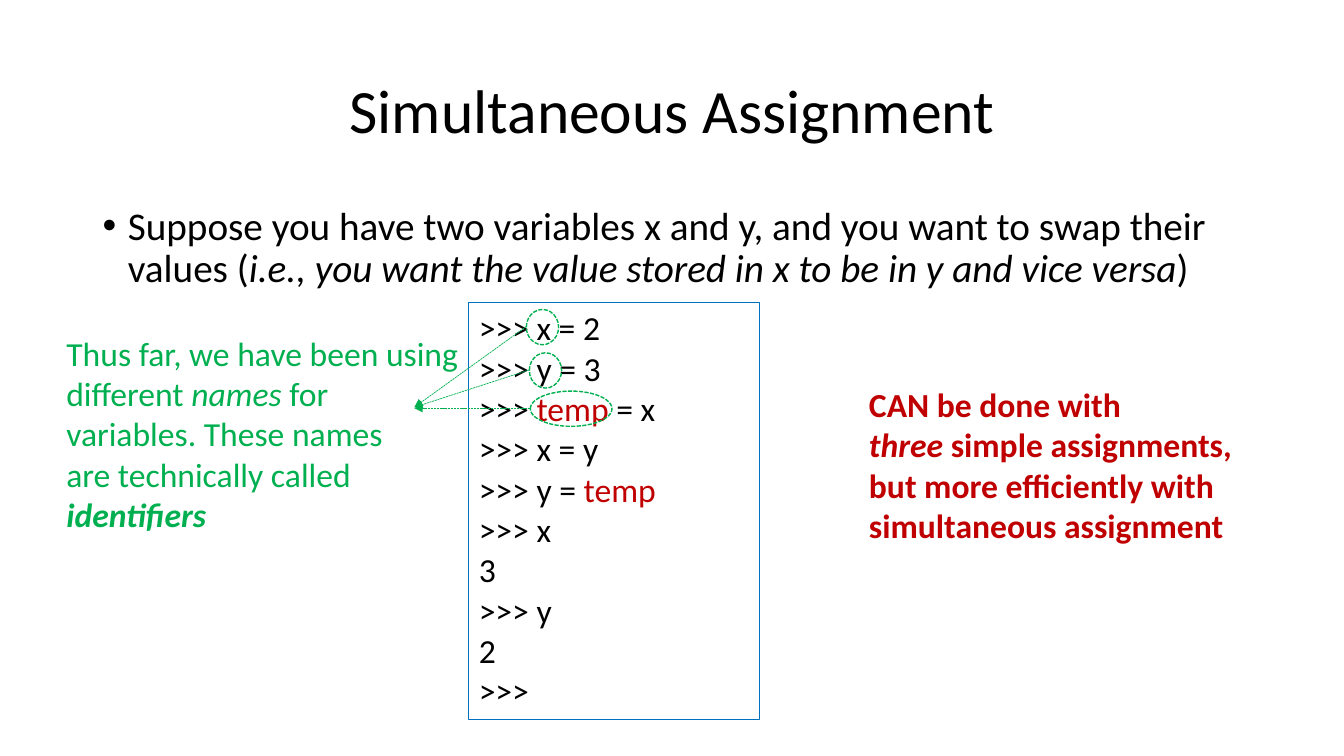
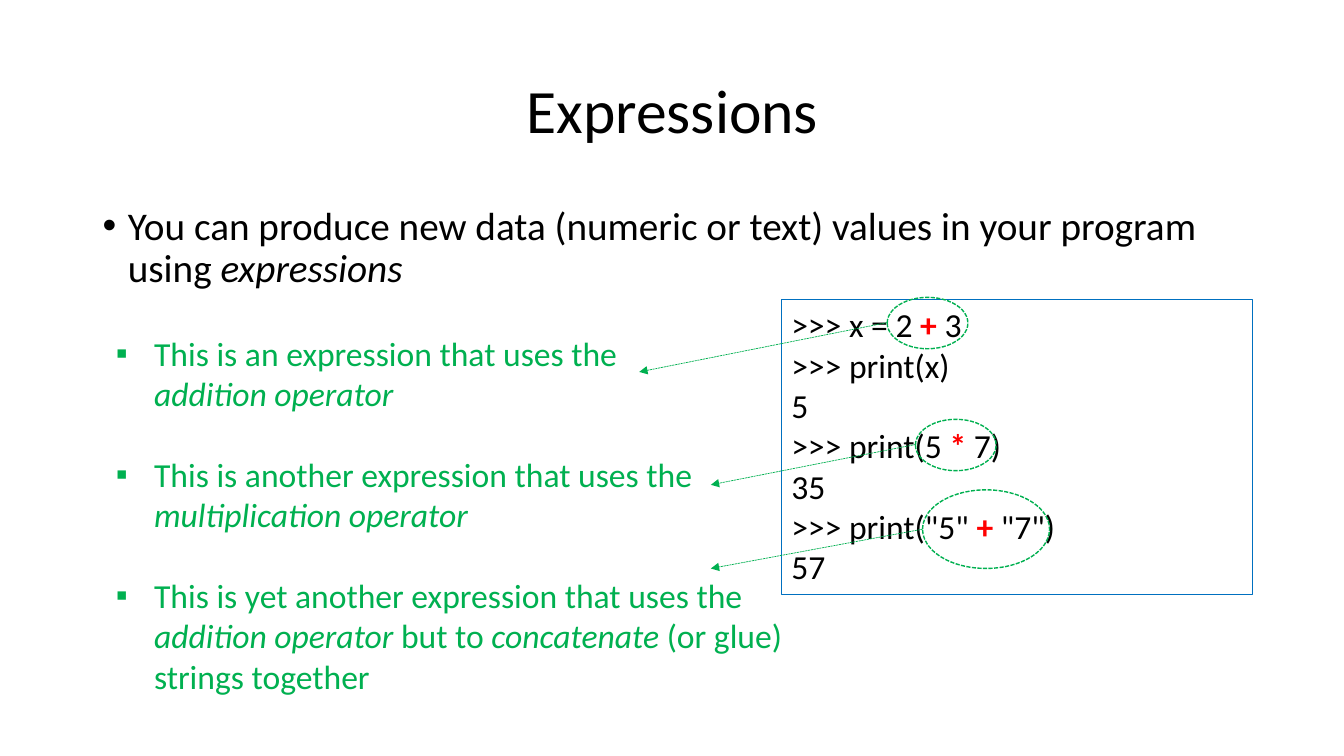
from lxml import etree
from pptx import Presentation
from pptx.dml.color import RGBColor
from pptx.enum.dml import MSO_LINE
from pptx.enum.shapes import MSO_CONNECTOR, MSO_SHAPE
from pptx.enum.text import MSO_ANCHOR, PP_ALIGN
from pptx.oxml.ns import qn
from pptx.util import Pt

PX = 9144  # 100 px to the inch
FONT = "Calibri"
BLACK = RGBColor(0x00, 0x00, 0x00)
BLUE = RGBColor(0x00, 0x70, 0xC0)
GREEN = RGBColor(0x00, 0xB0, 0x50)
CRIMSON = RGBColor(0xC0, 0x00, 0x00)
RED = RGBColor(0xFF, 0x00, 0x00)

RECT, OVAL = MSO_SHAPE.RECTANGLE, MSO_SHAPE.OVAL
STRAIGHT = MSO_CONNECTOR.STRAIGHT
DASH = MSO_LINE.SQUARE_DOT
TOP, MIDDLE = MSO_ANCHOR.TOP, MSO_ANCHOR.MIDDLE
LEFT, CENTER = PP_ALIGN.LEFT, PP_ALIGN.CENTER

ITALIC = {"italic": True}
STRONG = {"italic": True, "bold": True}
TEMP = ("temp", {"color": CRIMSON})


def px(*nums):
    return [n * PX for n in nums]


def sign(char):
    """Run for an operator that stands out in the code."""
    return char, {"color": RED, "bold": True}


def add_run(para, text, size, color, bold=False, italic=False):
    for i, part in enumerate(text.split("\n")):
        if i:
            para.add_line_break()
        if part:
            run = para.add_run()
            run.text = part
            font = run.font
            font.name, font.size = FONT, Pt(size)
            font.bold, font.italic = bold, italic
            font.color.rgb = color


def add_bullet(para, char, indent):
    props = para._p.get_or_add_pPr()
    props.set("marL", str(indent * PX))
    props.set("indent", str(-indent * PX))
    etree.SubElement(props, qn("a:buFont"), typeface="Arial")
    etree.SubElement(props, qn("a:buChar"), char=char)


def write(shape, paras, size=24, color=BLACK, bold=False, align=LEFT,
          anchor=TOP, leading=1.0, before=0, gap=0, bullet=None, indent=0):
    """Fill a shape; a paragraph is a list of strings and (string, style) pairs."""
    frame = shape.text_frame
    frame.word_wrap = True
    frame.vertical_anchor = anchor
    for i, runs in enumerate(paras):
        para = frame.add_paragraph() if i else frame.paragraphs[0]
        para.alignment = align
        para.line_spacing = leading
        para.space_before = Pt(gap if i else before)
        if bullet:
            add_bullet(para, bullet, indent)
        for item in runs:
            text, style = (item, {}) if isinstance(item, str) else item
            add_run(para, text, **{"size": size, "color": color, "bold": bold, **style})


def add_text(slide, box, paras, **style):
    write(slide.shapes.add_textbox(*px(*box)), paras, **style)


def add_frame(slide, kind, box, color, width):
    """Unfilled outline."""
    shape = slide.shapes.add_shape(kind, *px(*box))
    shape.shadow.inherit = False
    shape.fill.background()
    shape.line.color.rgb = color
    shape.line.width = Pt(width)
    return shape


def add_code(slide, box, lines):
    write(add_frame(slide, RECT, box, BLUE, 0.75), lines)


def add_arrow(slide, start, end):
    arrow = slide.shapes.add_connector(STRAIGHT, *px(*start, *end))
    arrow.line.color.rgb = GREEN
    arrow.line.width = Pt(0.5)
    arrow.line.dash_style = DASH
    props = arrow._element.spPr
    etree.SubElement(props.find(qn("a:ln")), qn("a:tailEnd"), type="triangle")
    etree.SubElement(props, qn("a:effectLst"))


def add_ring(slide, box, tip):
    """Dashed ring with an arrow from its left side to the tip."""
    add_frame(slide, OVAL, box, GREEN, 1).line.dash_style = DASH
    left, top, _, height = box
    add_arrow(slide, (left, top + height // 2), tip)


def add_page(deck, title, body):
    slide = deck.slides.add_slide(deck.slide_layouts[6])
    add_text(slide, (92, 200, 1150, 513), [body], size=28, leading=0.9,
             before=10, bullet="•", indent=25)
    add_text(slide, (92, 40, 1150, 145), [[title]], size=44, leading=0.9,
             align=CENTER, anchor=MIDDLE)
    return slide


def add_swap(deck):
    slide = add_page(deck, "Simultaneous Assignment", [
        "Suppose you have two variables x and y, and you want to swap their values (",
        ("i.e., you want the value stored in x to be in y and vice versa", ITALIC),
        ")"])
    add_code(slide, (465, 300, 288, 414), [
        [">>> x = 2"], [">>> y = 3"], [">>> ", TEMP, " = x"], [">>> x = y"],
        [">>> y = ", TEMP], [">>> x"], ["3"], [">>> y"], ["2"], [">>>"]])
    add_text(slide, (852, 376, 385, 172), [
        ["CAN be done with"],
        [("three", ITALIC), " simple assignments,"],
        ["but more efficiently with"],
        ["simultaneous assignment"]], color=CRIMSON, bold=True)
    add_text(slide, (56, 325, 413, 212), [
        ["Thus far, we have been using\ndifferent ", ("names ", ITALIC),
         "for \nvariables. These names"],
        ["are technically called \n", ("identifiers", STRONG)]], color=GREEN)
    add_ring(slide, (522, 307, 32, 35), (411, 404))
    add_ring(slide, (525, 350, 32, 35), (411, 404))
    add_ring(slide, (526, 388, 81, 35), (411, 405))


def add_sums(deck):
    slide = add_page(deck, "Expressions", [
        "You can produce new data (numeric or text) values in your program using ",
        ("expressions", ITALIC)])
    add_code(slide, (775, 297, 467, 293), [
        [">>> x = 2 ", sign("+"), " 3"], [">>> print(x)"], ["5"],
        [">>> print(5 ", sign("*"), " 7)"], ["35"],
        [">>> print(\"5\" ", sign("+"), " \"7\")"], ["57"]])
    add_text(slide, (105, 325, 694, 414), [
        ["This is an expression that uses the \n", ("addition operator", ITALIC)],
        ["This is another expression that uses the \n",
         ("multiplication operator", ITALIC)],
        ["This is yet another expression that uses the \n",
         ("addition operator ", ITALIC), "but to ", ("concatenate", ITALIC),
         " (or glue) \nstrings together"]],
        color=GREEN, gap=29, bullet="▪", indent=38)
    add_ring(slide, (880, 295, 80, 51), (634, 369))
    add_ring(slide, (908, 416, 80, 51), (705, 481))
    add_ring(slide, (915, 486, 126, 78), (705, 564))


def main():
    deck = Presentation()
    deck.slide_width, deck.slide_height = px(1333, 750)
    add_swap(deck)
    add_sums(deck)
    deck.save("out.pptx")


if __name__ == "__main__":
    main()
